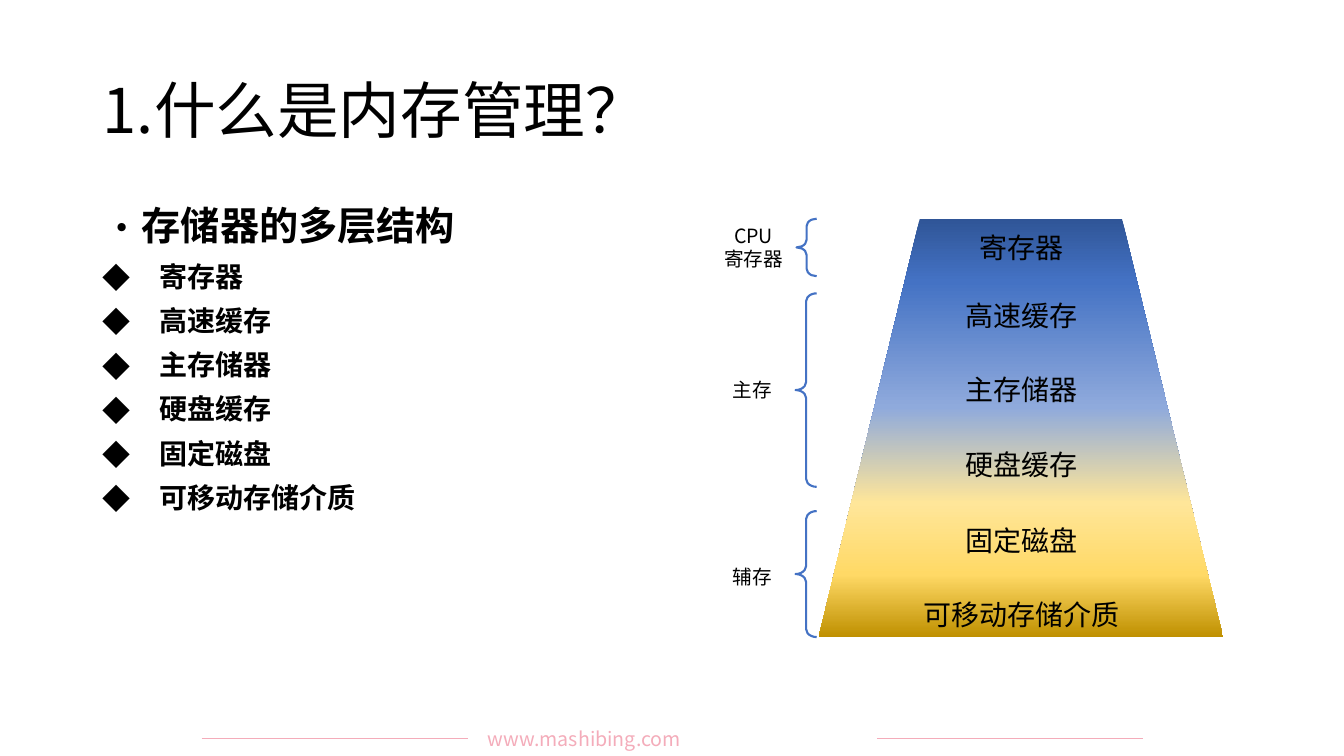
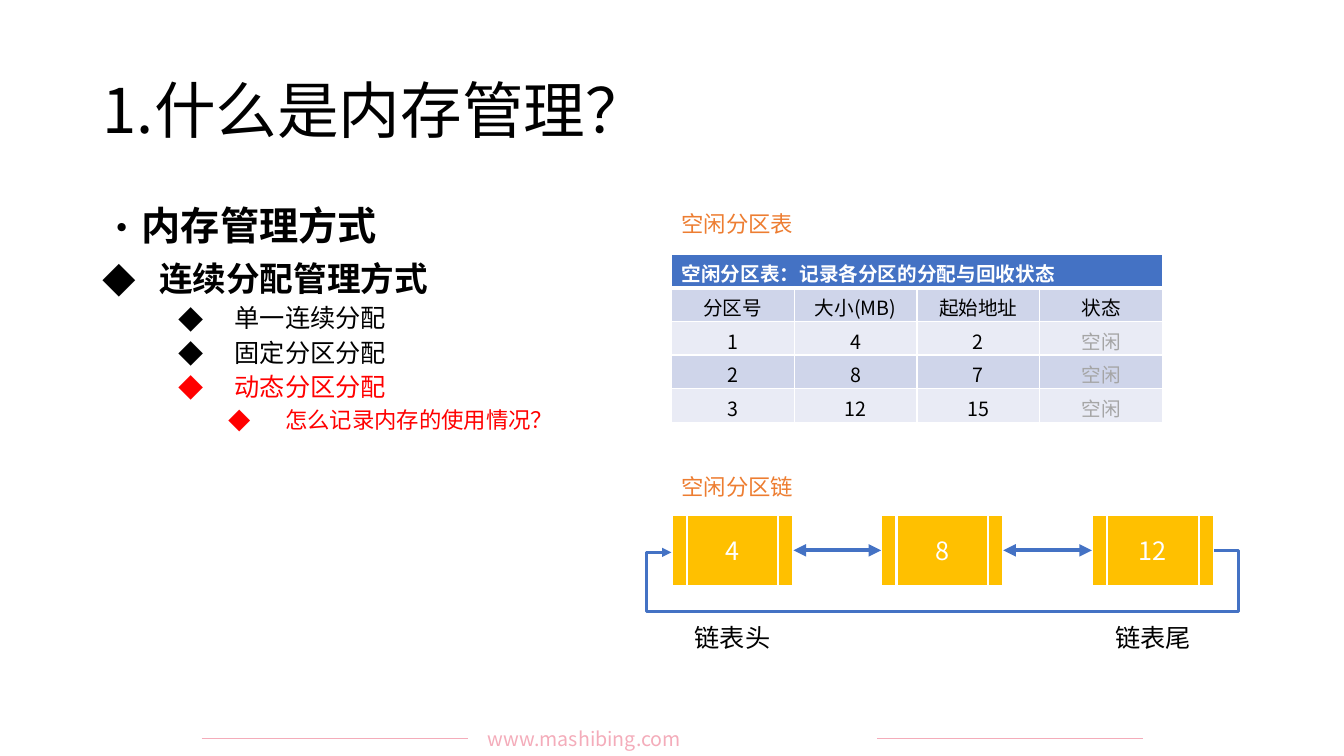
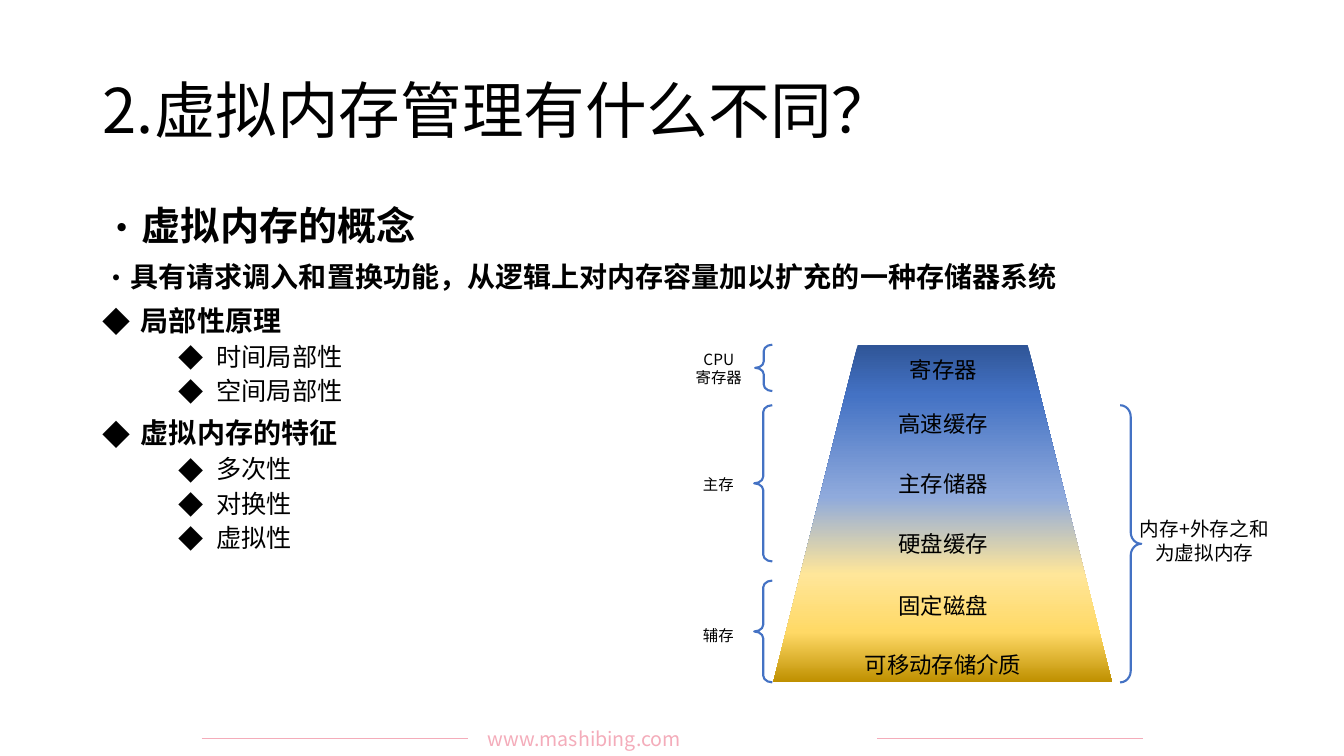
"""Builds three slides on memory management: storage layers, free partitions, virtual memory."""
from dataclasses import dataclass

from lxml import etree
from pptx import Presentation
from pptx.dml.color import RGBColor
from pptx.enum.shapes import MSO_CONNECTOR, MSO_SHAPE
from pptx.enum.text import MSO_ANCHOR, MSO_AUTO_SIZE, PP_ALIGN
from pptx.oxml.ns import qn
from pptx.util import Emu, Pt

STRAIGHT, ELBOW = MSO_CONNECTOR.STRAIGHT, MSO_CONNECTOR.ELBOW
LEFT_BRACE, RIGHT_BRACE = MSO_SHAPE.LEFT_BRACE, MSO_SHAPE.RIGHT_BRACE
TRAPEZOID, PROCESS = MSO_SHAPE.TRAPEZOID, MSO_SHAPE.FLOWCHART_PREDEFINED_PROCESS
LEFT, CENTER, JUSTIFY = PP_ALIGN.LEFT, PP_ALIGN.CENTER, PP_ALIGN.JUSTIFY
TOP, MIDDLE = MSO_ANCHOR.TOP, MSO_ANCHOR.MIDDLE
GROW = MSO_AUTO_SIZE.SHAPE_TO_FIT_TEXT

EMU_PER_PX = 9144
FONT = "Noto Sans CJK SC"
COLORS = {
    "text": "000000", "white": "FFFFFF", "footer": "F4ACBA", "red": "FF0000",
    "blue": "4472C4", "orange": "ED7D31", "gold": "FFC000", "muted": "A5A5A5",
    "band_dark": "CFD5EA", "band_light": "E9EBF5",
}
LAYER_STOPS = [(0, "2F5597"), (15, "4472C4"), (45, "8FAADC"),
               (68, "FFE699"), (85, "FFD966"), (100, "BF9000")]


@dataclass(frozen=True)
class Bullet:
    text: str
    size: int
    indent: int = 56
    level: int = 0
    mark: str = "◆"
    color: str = "text"


@dataclass(frozen=True)
class Layer:
    text: str
    y: int


@dataclass(frozen=True)
class Bracket:
    lines: tuple[str, ...]
    x: int
    y: int
    w: int
    h: int
    label_x: int
    label_y: int
    label_w: int
    label_h: int


@dataclass(frozen=True)
class Pyramid:
    x: int
    y: int
    w: int
    h: int
    layer_size: int
    label_size: int
    text_scale: float


BASE_W, BASE_H = 401, 415
LAYERS = [Layer("寄存器", 7), Layer("高速缓存", 74), Layer("主存储器", 148),
          Layer("硬盘缓存", 222), Layer("固定磁盘", 297), Layer("可移动存储介质", 371)]
BRACKETS = [
    Bracket(("CPU", "寄存器"), -22, 0, 20, 57, -106, 0, 83, 57),
    Bracket(("主存",), -23, 74, 21, 192, -109, 153, 87, 34),
    Bracket(("辅存",), -23, 290, 21, 125, -109, 339, 87, 34),
]


def px(n: float) -> Emu:
    return Emu(round(n) * EMU_PER_PX)


def rgb(name: str) -> RGBColor:
    return RGBColor.from_string(COLORS[name])


def add_run(p, text: str, size: int, color: str = "text", bold: bool = False) -> None:
    r = p.add_run()
    r.text = text
    r.font.size, r.font.bold, r.font.name = Pt(size), bold, FONT
    r.font.color.rgb = rgb(color)
    etree.SubElement(r._r.get_or_add_rPr(), qn("a:ea"), typeface=FONT)


def add_text(s, box: tuple, lines: tuple[str, ...], size: int, color: str = "text",
             align=CENTER, anchor=TOP, grow: bool = True):
    sp = s.shapes.add_textbox(*map(px, box))
    tf = sp.text_frame
    tf.word_wrap, tf.vertical_anchor = True, anchor
    if grow:
        tf.auto_size = GROW
    for i, line in enumerate(lines):
        p = tf.add_paragraph() if i else tf.paragraphs[0]
        p.alignment = align
        add_run(p, line, size, color)
    return sp


def add_line(s, kind, start: tuple, end: tuple, color: str, width: float,
             head: bool = False, tail: bool = False):
    c = s.shapes.add_connector(kind, *map(px, start + end))
    c.line.color.rgb, c.line.width = rgb(color), Pt(width)
    ln = c.line._get_or_add_ln()
    for tag, wanted in (("a:headEnd", head), ("a:tailEnd", tail)):
        if wanted:
            etree.SubElement(ln, qn(tag), type="triangle")
    etree.SubElement(c._element.spPr, qn("a:effectLst"))
    return c


def add_brace(s, kind, box: tuple, curve: float) -> None:
    sp = s.shapes.add_shape(kind, *map(px, box))
    sp.shadow.inherit = False
    sp.adjustments[0] = curve
    sp.fill.background()
    sp.line.color.rgb, sp.line.width = rgb("blue"), Pt(1.5)


def add_body(s, bullets: list[Bullet]) -> None:
    tf = s.shapes.add_textbox(*map(px, (92, 200, 1150, 510))).text_frame
    tf.word_wrap = True
    for i, b in enumerate(bullets):
        p = tf.add_paragraph() if i else tf.paragraphs[0]
        pPr = p._p.get_or_add_pPr()
        pPr.set("marL", str(px(b.indent)))
        pPr.set("indent", str(px(-b.indent if not b.level else -(b.indent - 25 - 50 * b.level))))
        etree.SubElement(pPr, qn("a:buFont"), typeface=FONT)
        etree.SubElement(pPr, qn("a:buChar"), char=b.mark)
        p.level, p.line_spacing = b.level, 0.9
        if i:
            p.space_before = Pt(5 if b.level else 10)
        add_run(p, b.text, b.size, b.color, bold=not b.level)


def new_slide(prs, title: str, bullets: list[Bullet]):
    s = prs.slides.add_slide(prs.slide_layouts[6])
    for x in (200, 870):
        add_line(s, STRAIGHT, (x, 733), (x + 264, 733), "footer", 0.5)
    add_text(s, (474, 716, 385, 34), ("www.mashibing.com",), 14, "footer", JUSTIFY)
    head = add_text(s, (92, 40, 1150, 145), (title,), 44, align=LEFT, anchor=MIDDLE, grow=False)
    head.text_frame.paragraphs[0].line_spacing = 0.9
    add_body(s, bullets)
    return s


def add_pyramid(s, d: Pyramid) -> None:
    sx, sy = d.w / BASE_W, d.h / BASE_H
    sp = s.shapes.add_shape(TRAPEZOID, px(d.x), px(d.y), px(d.w), px(d.h))
    sp.shadow.inherit = False
    sp.line.fill.background()
    sp.fill.gradient()
    sp.fill.gradient_angle = 270
    stops = sp._element.spPr.find(".//" + qn("a:gsLst"))
    stops.clear()
    for percent, color in LAYER_STOPS:
        gs = etree.SubElement(stops, qn("a:gs"), pos=str(percent * 1000))
        etree.SubElement(gs, qn("a:srgbClr"), val=color)
    for layer in LAYERS:
        box = (d.x + 92 * sx, d.y + layer.y * sy, 218 * sx, 44 * d.text_scale)
        add_text(s, box, (layer.text,), d.layer_size)
    for b in BRACKETS:
        add_brace(s, LEFT_BRACE, (d.x + b.x * sx, d.y + b.y * sy, b.w * sx, b.h * sy), 0.374)
        box = (d.x + b.label_x * sx, d.y + b.label_y * sy, b.label_w * sx, b.label_h * d.text_scale)
        add_text(s, box, b.lines, d.label_size)


def style_cell(cell, text: str, fill: str, color: str, align, bold: bool, bottom: int) -> None:
    tcPr = cell._tc.get_or_add_tcPr()
    for side, width in (("L", 1), ("R", 1), ("T", 1), ("B", bottom)):
        ln = etree.SubElement(tcPr, qn("a:ln" + side), w=str(Pt(width)))
        paint = etree.SubElement(ln, qn("a:solidFill"))
        etree.SubElement(paint, qn("a:srgbClr"), val=COLORS["white"])
    cell.fill.solid()
    cell.fill.fore_color.rgb = rgb(fill)
    if text:
        p = cell.text_frame.paragraphs[0]
        p.alignment = align
        add_run(p, text, 14, color, bold)


def add_partition_table(s) -> None:
    rows = [("空闲分区表：记录各分区的分配与回收状态", "", "", ""),
            ("分区号", "大小(MB)", "起始地址", "状态"),
            ("1", "4", "2", "空闲"), ("2", "8", "7", "空闲"), ("3", "12", "15", "空闲")]
    table = s.shapes.add_table(len(rows), 4, *map(px, (666, 252, 487, 167))).table
    table.first_row = table.horz_banding = False
    table.cell(0, 0).merge(table.cell(0, 3))
    for i, row in enumerate(rows):
        for j, text in enumerate(row):
            cell = table.cell(i, j)
            if i == 0:
                style_cell(cell, text, "blue", "white", LEFT, True, 3)
            else:
                fill = "band_dark" if i % 2 else "band_light"
                color = "muted" if text == "空闲" else "text"
                style_cell(cell, text, fill, color, CENTER, False, 1)


def add_partition_chain(s) -> None:
    x, y, w, h = 666, 511, 121, 70
    boxes = []
    for i, size in enumerate(("4", "8", "12")):
        sp = s.shapes.add_shape(PROCESS, *map(px, (x + i * 417 // 2, y, w, h)))
        sp.shadow.inherit = False
        sp.fill.solid()
        sp.fill.fore_color.rgb = rgb("gold")
        sp.line.color.rgb, sp.line.width = rgb("white"), Pt(1.5)
        p = sp.text_frame.paragraphs[0]
        sp.text_frame.vertical_anchor, p.alignment = MIDDLE, CENTER
        add_run(p, size, 18, "white")
        boxes.append(sp)
    for a, b in zip(boxes, boxes[1:]):
        c = add_line(s, STRAIGHT, (x, y), (x + w, y), "blue", 3, head=True, tail=True)
        c.begin_connect(a, 3)
        c.end_connect(b, 1)
    for left, caption in ((x + 9, "链表头"), (x + 426, "链表尾")):
        add_text(s, (left, 612, 103, 40), (caption,), 18)
    loop = add_line(s, ELBOW, (1204, 546), (x, 548), "blue", 2.25, tail=True)
    geom = loop._element.spPr.find(qn("a:prstGeom"))
    geom.set("prst", "bentConnector5")
    guides = geom.find(qn("a:avLst"))
    if guides is None:
        guides = etree.SubElement(geom, qn("a:avLst"))
    for i, value in enumerate((-4600, 3000000, 104600), 1):
        etree.SubElement(guides, qn("a:gd"), name=f"adj{i}", fmla=f"val {value}")


def build_layers(prs) -> None:
    bullets = [Bullet("存储器的多层结构", 28, 25, mark="•")]
    bullets += [Bullet(layer.text, 20) for layer in LAYERS]
    s = new_slide(prs, "1.什么是内存管理？", bullets)
    add_pyramid(s, Pyramid(812, 217, BASE_W, BASE_H, 20, 14, 1))


def build_partitions(prs) -> None:
    s = new_slide(prs, "1.什么是内存管理？", [
        Bullet("内存管理方式", 28, 25, mark="•"),
        Bullet("连续分配管理方式", 24),
        Bullet("单一连续分配", 18, 131, 1),
        Bullet("固定分区分配", 18, 131, 1),
        Bullet("动态分区分配", 18, 131, 1, color="red"),
        Bullet("怎么记录内存的使用情况？", 16, 181, 2, color="red"),
    ])
    add_partition_table(s)
    add_partition_chain(s)
    for y, heading in ((464, "空闲分区链"), (204, "空闲分区表")):
        add_text(s, (666, y, 189, 37), (heading,), 16, "orange", LEFT)


def build_virtual_memory(prs) -> None:
    s = new_slide(prs, "2.虚拟内存管理有什么不同？", [
        Bullet("虚拟内存的概念", 28, 25, mark="•"),
        Bullet("具有请求调入和置换功能，从逻辑上对内存容量加以扩充的一种存储器系统", 20, 25, mark="•"),
        Bullet("局部性原理", 20, 38),
        Bullet("时间局部性", 18, 113, 1),
        Bullet("空间局部性", 18, 113, 1),
        Bullet("虚拟内存的特征", 20, 38),
        Bullet("多次性", 18, 113, 1),
        Bullet("对换性", 18, 113, 1),
        Bullet("虚拟性", 18, 113, 1),
    ])
    add_pyramid(s, Pyramid(767, 342, 336, 335, 16, 11, 0.67))
    add_brace(s, RIGHT_BRACE, (1111, 402, 21, 275), 0.545)
    add_text(s, (1116, 508, 157, 57), ("内存+外存之和为虚拟内存",), 14)


def main() -> None:
    prs = Presentation()
    prs.slide_width, prs.slide_height = px(1333), px(750)
    build_layers(prs)
    build_partitions(prs)
    build_virtual_memory(prs)
    prs.save("out.pptx")


if __name__ == "__main__":
    main()
